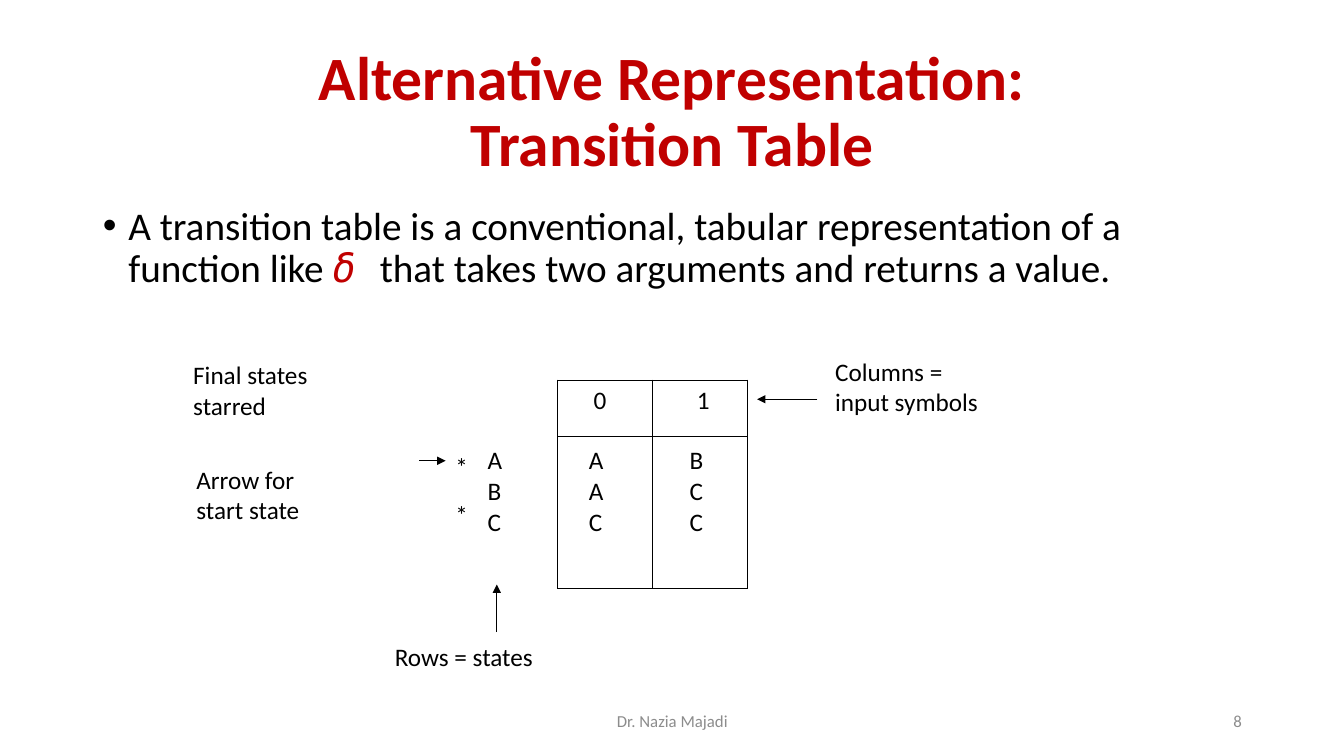
from lxml import etree
from pptx import Presentation
from pptx import util as u
from pptx.dml.color import RGBColor
from pptx.enum import shapes, text
from pptx.oxml import ns

RED = RGBColor(0xC0, 0x00, 0x00)
BLACK = RGBColor(0x00, 0x00, 0x00)
GREY = RGBColor(0x8C, 0x8C, 0x8C)
LINE_WIDTH = u.Pt(0.75)
LEFT, CENTER, RIGHT = text.PP_ALIGN.LEFT, text.PP_ALIGN.CENTER, text.PP_ALIGN.RIGHT

TRANSITIONS = [("", "0", "1"), ("A", "A", "B"), ("B", "A", "C"), ("C", "C", "C")]
COLUMN_WIDTHS = (2.01, 2.4, 2.4)
ROW_HEIGHTS = (1.42, 1.01, 0.78, 2.05)
TOP_MARGINS = (0.13, 0.23, 0, 0)
HEADER_INDENTS = (0.25, 0.91, 1.11)
STATE_INDENTS = (0.25, 0.79, 0.93)


def style(run, size, color=BLACK, name="Calibri", bold=False, italic=False):
    run.font.size, run.font.name = u.Pt(size), name
    run.font.bold, run.font.italic = bold, italic
    run.font.color.rgb = color


def place(shape, box):
    shape.left, shape.top, shape.width, shape.height = (u.Cm(v) for v in box)


def add_label(slide, box, words, size=18, color=BLACK, align=LEFT,
              anchor=text.MSO_ANCHOR.TOP):
    frame = slide.shapes.add_textbox(*(u.Cm(v) for v in box)).text_frame
    frame.word_wrap = True
    frame.vertical_anchor = anchor
    frame.text = words
    for paragraph in frame.paragraphs:
        paragraph.alignment = align
        for run in paragraph.runs:
            style(run, size, color)


def add_arrow(slide, start, end):
    arrow = slide.shapes.add_connector(
        shapes.MSO_CONNECTOR.STRAIGHT, *(u.Cm(v) for v in (*start, *end)))
    arrow.line.color.rgb = BLACK
    arrow.line.width = LINE_WIDTH
    etree.SubElement(arrow.line._get_or_add_ln(), ns.qn("a:tailEnd"), type="triangle")
    etree.SubElement(arrow._element.spPr, ns.qn("a:effectLst"))


def add_title(slide, box):
    title = slide.shapes.title
    place(title, box)
    frame = title.text_frame
    frame.auto_size = text.MSO_AUTO_SIZE.NONE
    frame.vertical_anchor = text.MSO_ANCHOR.MIDDLE
    frame.text = "Alternative Representation:\vTransition Table"
    heading = frame.paragraphs[0]
    heading.alignment, heading.line_spacing = CENTER, 0.9
    for run in heading.runs:
        style(run, 44, RED, bold=True)


def add_definition(slide, box):
    body = slide.placeholders[1]
    place(body, box)
    body.text_frame.auto_size = text.MSO_AUTO_SIZE.NONE
    definition = body.text_frame.paragraphs[0]
    definition.line_spacing, definition.space_before = 0.9, u.Pt(0)
    properties = definition._p.get_or_add_pPr()
    properties.set("marL", str(u.Cm(0.64)))
    properties.set("indent", str(u.Cm(-0.64)))
    etree.SubElement(properties, ns.qn("a:buFont"), typeface="Arial")
    etree.SubElement(properties, ns.qn("a:buChar"), char="•")
    parts = [
        ("A transition table is a conventional, tabular representation of a "
         "function like ", {}),
        ("δ ", dict(color=RED, name="DejaVu Sans Mono", italic=True)),
        ("that takes two arguments and returns a value.", {}),
    ]
    for words, look in parts:
        run = definition.add_run()
        run.text = words
        style(run, 28, **look)


def set_borders(cell, visible):
    """Draw the sides named in visible (letters of LRTB) and clear the others."""
    properties = cell._tc.get_or_add_tcPr()
    for side in "LRTB":
        border = etree.SubElement(properties, ns.qn("a:ln" + side), w=str(LINE_WIDTH))
        if side in visible:
            fill = etree.SubElement(border, ns.qn("a:solidFill"))
            etree.SubElement(fill, ns.qn("a:srgbClr"), val=str(BLACK))
        else:
            etree.SubElement(border, ns.qn("a:noFill"))


def visible_sides(row, column):
    if column == 0:
        return "R"
    sides = "LR"
    if row <= 1:
        sides += "T"
    if row in (0, len(TRANSITIONS) - 1):
        sides += "B"
    return sides


def add_transition_table(slide, left, top):
    table = slide.shapes.add_table(
        len(TRANSITIONS), len(COLUMN_WIDTHS), u.Cm(left), u.Cm(top),
        u.Cm(sum(COLUMN_WIDTHS)), u.Cm(sum(ROW_HEIGHTS))).table
    table.first_row = table.horz_banding = False
    for column, width in zip(table.columns, COLUMN_WIDTHS):
        column.width = u.Cm(width)
    for r, states in enumerate(TRANSITIONS):
        table.rows[r].height = u.Cm(ROW_HEIGHTS[r])
        indents = STATE_INDENTS if r else HEADER_INDENTS
        for c, state in enumerate(states):
            cell = table.cell(r, c)
            cell.margin_left, cell.margin_top = u.Cm(indents[c]), u.Cm(TOP_MARGINS[r])
            cell.margin_right = cell.margin_bottom = 0
            set_borders(cell, visible_sides(r, c))
            cell.fill.background()
            cell.text = state
            for run in cell.text_frame.paragraphs[0].runs:
                style(run, 18)


def add_annotations(slide, left, top):
    """Place the labels and arrows relative to the table's top left corner."""
    labels = [
        ("Final states\nstarred", -7.42, -0.64, 4.88, 2.59),
        ("Arrow for\nstart state", -7.34, 2.0, 4.42, 2.59),
        ("Columns =\ninput symbols", 8.76, -0.72, 5.84, 2.59),
        ("Rows = states", -2.34, 6.45, 6.05, 1.42),
        ("*", -0.81, 1.67, 1.02, 1.42),
        ("*", -0.81, 2.87, 1.02, 1.42),
    ]
    for words, x, y, width, height in labels:
        add_label(slide, (left + x, top + y, width, height), words)
    arrows = [
        ((0.48, 6.35), (0.48, 5.15)),
        ((8.56, 0.48), (7.04, 0.48)),
        ((-1.47, 2.03), (-0.81, 2.03)),
    ]
    for ends in arrows:
        add_arrow(slide, *((left + x, top + y) for x, y in ends))


def add_footer(slide, top):
    for words, left, width, align in (("Dr. Nazia Majadi", 11.23, 11.43, CENTER),
                                      ("8", 23.93, 7.62, RIGHT)):
        add_label(slide, (left, top, width, 1.02), words, 12, GREY, align,
                  text.MSO_ANCHOR.MIDDLE)


def main():
    deck = Presentation()
    deck.slide_width, deck.slide_height = u.Cm(33.87), u.Cm(19.05)
    slide = deck.slides.add_slide(deck.slide_layouts[1])
    add_title(slide, (2.34, 1.02, 29.21, 3.68))
    add_definition(slide, (2.34, 5.08, 29.21, 3.07))
    table_corner = (12.04, 9.58)
    add_transition_table(slide, *table_corner)
    add_annotations(slide, *table_corner)
    add_footer(slide, 17.65)
    deck.save("out.pptx")


if __name__ == "__main__":
    main()
